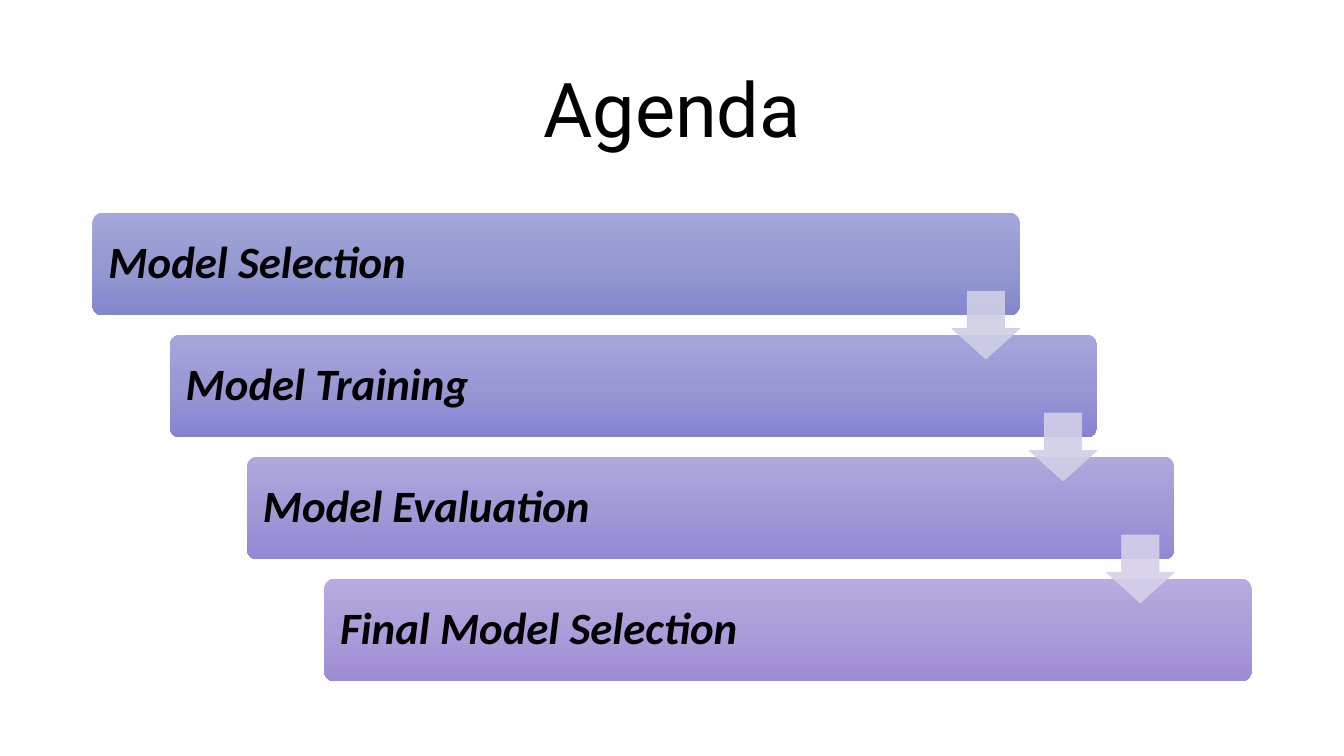
from copy import deepcopy

from lxml.etree import SubElement
from pptx import Presentation
from pptx.dml.color import RGBColor
from pptx.enum.shapes import MSO_SHAPE
from pptx.enum.text import MSO_ANCHOR, PP_ALIGN
from pptx.oxml.ns import qn
from pptx.util import Cm, Pt

BLACK = RGBColor(0x00, 0x00, 0x00)
WHITE = RGBColor(0xFF, 0xFF, 0xFF)

STEPS = [
    ("Model Selection", ("A3A6DA", "969AD1", "8387CE")),
    ("Model Training", ("A6A5DB", "9998D5", "8684D2")),
    ("Model Evaluation", ("AEA8DD", "A19AD7", "9188D4")),
    ("Final Model Selection", ("B7ABDF", "AB9DD9", "9E8CD6")),
]
ARROW_COLORS = [
    RGBColor(0xCE, 0xCF, 0xE4),
    RGBColor(0xD1, 0xCF, 0xE7),
    RGBColor(0xD5, 0xD0, 0xE9),
]
BAR_WIDTH = Cm(23.37)
BAR_HEIGHT = Cm(2.59)
ARROW_SIZE = Cm(1.71)


def style_text(paragraph, text, font_name, size):
    paragraph.text = text
    paragraph.font.name = font_name
    paragraph.font.size = Pt(size)
    paragraph.font.color.rgb = BLACK


def add_title(slide, text, left, top, width, height):
    shape = slide.shapes.add_textbox(left, top, width, height)
    frame = shape.text_frame
    frame.word_wrap = True
    frame.vertical_anchor = MSO_ANCHOR.MIDDLE
    paragraph = frame.paragraphs[0]
    style_text(paragraph, text, "Roboto", 54)
    paragraph.alignment = PP_ALIGN.CENTER
    paragraph.line_spacing = 0.9


def fill_gradient(shape, colors):
    shape.fill.gradient()
    shape.fill.gradient_angle = 270
    stop_list = shape.element.spPr.find(qn("a:gradFill")).find(qn("a:gsLst"))
    stop_list.insert(1, deepcopy(stop_list[0]))
    for stop, position, color in zip(shape.fill.gradient_stops, (0, 0.5, 1), colors):
        stop.position = position
        stop.color.rgb = RGBColor.from_string(color)


def add_bar(slide, text, colors, left, top):
    shape = slide.shapes.add_shape(
        MSO_SHAPE.ROUNDED_RECTANGLE, left, top, BAR_WIDTH, BAR_HEIGHT
    )
    shape.adjustments[0] = 0.1
    shape.shadow.inherit = False
    shape.line.fill.background()
    fill_gradient(shape, colors)
    frame = shape.text_frame
    frame.word_wrap = True
    frame.vertical_anchor = MSO_ANCHOR.MIDDLE
    frame.margin_left = frame.margin_right = Cm(0.33)
    paragraph = frame.paragraphs[0]
    style_text(paragraph, text, "Calibri", 32)
    paragraph.font.bold = True
    paragraph.font.italic = True
    paragraph.alignment = PP_ALIGN.LEFT
    paragraph.line_spacing = 0.9


def add_arrow(slide, color, left, top):
    shape = slide.shapes.add_shape(
        MSO_SHAPE.DOWN_ARROW, left, top, ARROW_SIZE, ARROW_SIZE
    )
    shape.adjustments[0] = 0.55
    shape.adjustments[1] = 0.45
    shape.shadow.inherit = False
    shape.fill.solid()
    shape.fill.fore_color.rgb = color
    shape.line.color.rgb = color
    shape.line.width = Pt(0.5)
    for color_element in shape.element.spPr.iter(qn("a:srgbClr")):
        SubElement(color_element, qn("a:alpha"), val="90000")


def add_staircase(slide, left, top, width, height):
    gaps = len(STEPS) - 1
    step_x = (width - BAR_WIDTH) // gaps
    step_y = (height - BAR_HEIGHT) // gaps
    for index, (text, colors) in enumerate(STEPS):
        add_bar(slide, text, colors, left + index * step_x, top + index * step_y)
    arrow_left = left + BAR_WIDTH - ARROW_SIZE
    arrow_top = top + (BAR_HEIGHT + step_y - ARROW_SIZE) // 2
    for index, color in enumerate(ARROW_COLORS):
        add_arrow(slide, color, arrow_left + index * step_x, arrow_top + index * step_y)


def main():
    presentation = Presentation()
    presentation.slide_width = Cm(33.87)
    presentation.slide_height = Cm(19.05)
    slide = presentation.slides.add_slide(presentation.slide_layouts[6])
    slide.background.fill.solid()
    slide.background.fill.fore_color.rgb = WHITE
    add_title(slide, "Agenda", Cm(2.33), Cm(1.01), Cm(29.21), Cm(3.68))
    add_staircase(slide, Cm(2.33), Cm(5.36), Cm(29.21), Cm(11.81))
    presentation.save("out.pptx")


if __name__ == "__main__":
    main()
